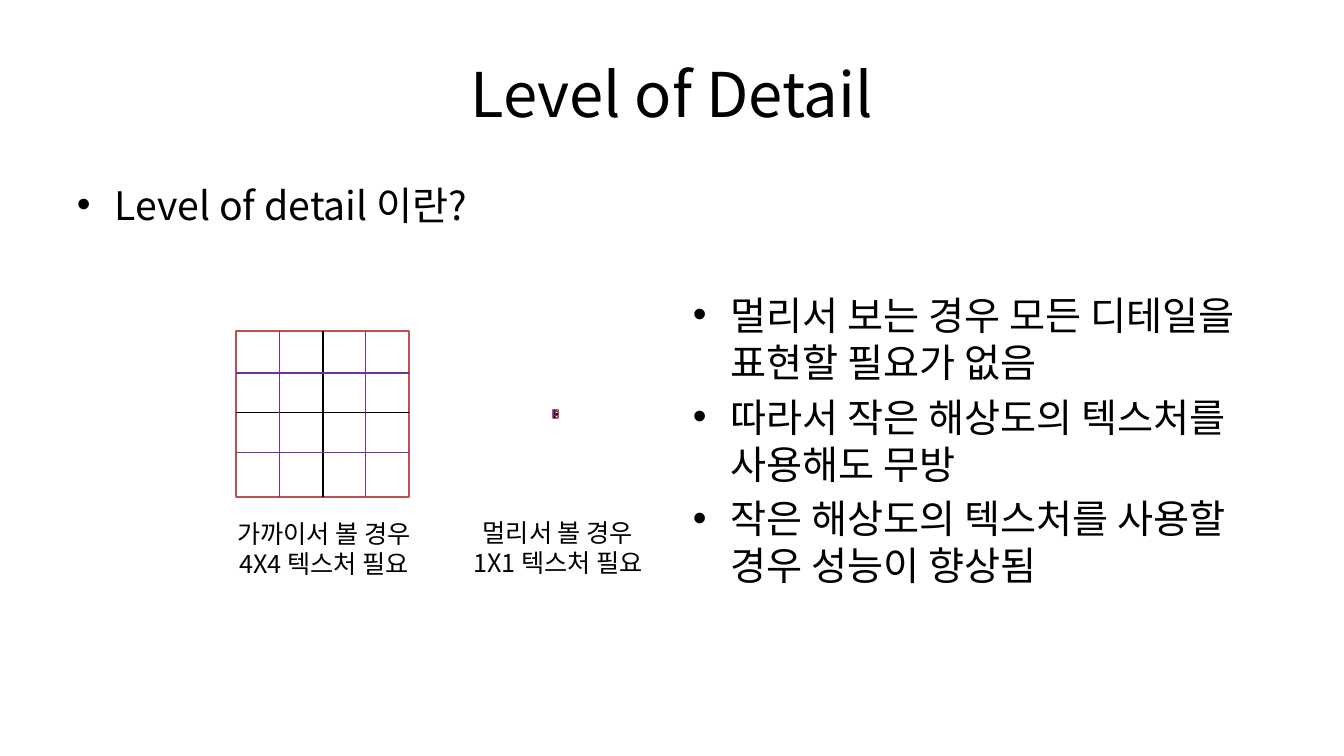
import pptx
import pptx.dml.color
import pptx.enum.shapes
import pptx.enum.text
import pptx.oxml.ns
import pptx.util
import lxml.etree

EMU_PER_PIXEL = 914400 / 100.8
FONT = "Noto Sans CJK KR"
COLORS = {"text": "000000", "paper": "FFFFFF", "border": "C0504D",
          "half": "000000", "quarter": "7030A0"}


def px(length):
    """Turn pixels into EMU."""
    return pptx.util.Emu(round(length * EMU_PER_PIXEL))


def color(name):
    """Look up a named colour."""
    return pptx.dml.color.RGBColor.from_string(COLORS[name])


def add_xml(parent, tag, **attributes):
    """Append a drawing element with the given attributes."""
    return lxml.etree.SubElement(parent, pptx.oxml.ns.qn(tag), **attributes)


class SlideBuilder:
    """Holds the style and the current slide."""

    def __init__(self, slide):
        self.slide = slide

    def text(self, box, paragraphs, size, centered=True, bullets=False,
             middle=False):
        """Add a text box with one run per paragraph."""
        frame = self.slide.shapes.add_textbox(*map(px, box)).text_frame
        frame.word_wrap = True
        if middle:
            frame.vertical_anchor = pptx.enum.text.MSO_ANCHOR.MIDDLE
        for index, wording in enumerate(paragraphs):
            paragraph = frame.paragraphs[0] if index == 0 else frame.add_paragraph()
            paragraph.line_spacing = pptx.util.Pt(round(size * 1.2, 1))
            if centered:
                paragraph.alignment = pptx.enum.text.PP_ALIGN.CENTER
            if bullets:
                self.bullet(paragraph, first=index == 0, size=size)
            run = paragraph.add_run()
            run.text = wording
            run.font.name = FONT
            run.font.size = pptx.util.Pt(size)
            run.font.color.rgb = color("text")
            add_xml(run.font._element, "a:ea", typeface=FONT)

    def bullet(self, paragraph, first, size):
        """Give a paragraph a hanging bullet and a gap above."""
        if not first:
            paragraph.space_before = pptx.util.Pt(round(size * 0.2, 1))
        properties = paragraph._p.get_or_add_pPr()
        properties.set("marL", str(px(38)))
        properties.set("indent", str(-px(38)))
        add_xml(properties, "a:buFont", typeface="Arial")
        add_xml(properties, "a:buChar", char="•")

    def line(self, shapes, start, end, line_color):
        """Add a thin straight line."""
        connector = shapes.add_connector(
            pptx.enum.shapes.MSO_CONNECTOR.STRAIGHT, *map(px, start + end))
        connector.line.color.rgb = color(line_color)
        connector.line.width = pptx.util.Pt(0.75)
        add_xml(connector._element.spPr, "a:effectLst")

    def texture(self, shapes, box, center, step):
        """Add a bordered texture divided into four by four texels."""
        left, top, width, height = box
        border = shapes.add_shape(
            pptx.enum.shapes.MSO_SHAPE.RECTANGLE, *map(px, box))
        border.shadow.inherit = False
        border.fill.solid()
        border.fill.fore_color.rgb = color("paper")
        border.line.color.rgb = color("border")
        border.line.width = pptx.util.Pt(2)
        for offset, line_color in ((0, "half"), (-1, "quarter"), (1, "quarter")):
            x = center[0] + offset * step[0]
            y = center[1] + offset * step[1]
            self.line(shapes, (left, y), (left + width, y), line_color)
            self.line(shapes, (x, top), (x, top + height), line_color)


presentation = pptx.Presentation()
presentation.slide_width = px(1344)
presentation.slide_height = px(756)
slide = presentation.slides.add_slide(presentation.slide_layouts[6])
builder = SlideBuilder(slide)

builder.text((67, 30, 1210, 126), ["Level of Detail"], 44, middle=True)
builder.text((67, 176, 594, 499), ["Level of detail 이란?"], 28,
             centered=False, bullets=True)
builder.text((683, 286, 594, 389), [
    "멀리서 보는 경우 모든 디테일을 표현할 필요가 없음",
    "따라서 작은 해상도의 텍스처를 사용해도 무방",
    "작은 해상도의 텍스처를 사용할 경우 성능이 향상됨",
], 28, centered=False, bullets=True)

builder.texture(slide.shapes, (236, 331, 173, 166), center=(323, 413), step=(43, 40))
builder.text((197, 513, 254, 72), ["가까이서 볼 경우", "4X4 텍스처 필요"], 18)

far_texture = slide.shapes.add_group_shape()
builder.texture(far_texture.shapes, (553, 410, 5, 8), center=(555, 414), step=(1, 2))
builder.text((431, 512, 254, 72), ["멀리서 볼 경우", "1X1 텍스처 필요"], 18)

presentation.save("out.pptx")
